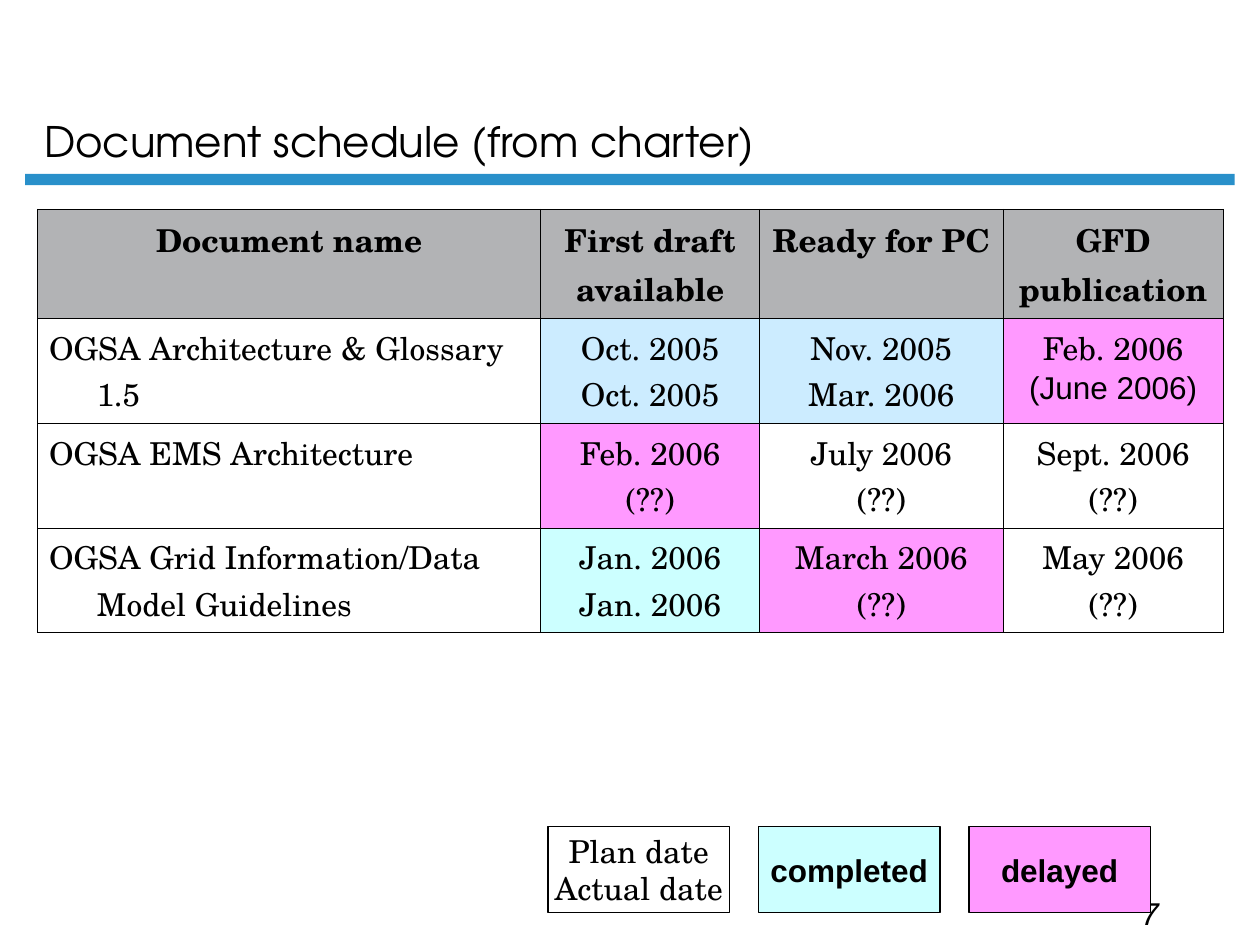
from pptx import Presentation, util as u
from pptx.dml.color import RGBColor
from pptx.enum import shapes, text
from pptx.oxml import parse_xml
from pptx.oxml.ns import nsdecls

BLACK = RGBColor(0x00, 0x00, 0x00)
BLUE = RGBColor(0x29, 0x90, 0xCA)
GRAY = RGBColor(0xB2, 0xB3, 0xB5)
SKY = RGBColor(0xCC, 0xEC, 0xFF)
CYAN = RGBColor(0xCC, 0xFF, 0xFF)
PINK = RGBColor(0xFF, 0x99, 0xFF)
SANS, SERIF, TITLE = "Arial", "TeX Gyre Schola", "TeX Gyre Adventor"
CENTER, LEFT = text.PP_ALIGN.CENTER, text.PP_ALIGN.LEFT

COLS = [3.99, 1.74, 1.93, 1.75]
ROW_HEIGHTS = [0.87, 0.83, 0.83, 0.83]
ROWS = [
    [("Document name", GRAY), ("First draft\navailable", GRAY),
     ("Ready for PC", GRAY), ("GFD\npublication", GRAY)],
    [("OGSA Architecture & Glossary 1.5", None), ("Oct. 2005\nOct. 2005", SKY),
     ("Nov. 2005\nMar. 2006", SKY), ("Feb. 2006\n(June 2006)", PINK)],
    [("OGSA EMS Architecture", None), ("Feb. 2006\n(??)", PINK),
     ("July 2006\n(??)", None), ("Sept. 2006\n(??)", None)],
    [("OGSA Grid Information/Data Model Guidelines", None),
     ("Jan. 2006\nJan. 2006", CYAN), ("March 2006\n(??)", PINK),
     ("May 2006\n(??)", None)],
]
LEGEND = [("Plan date\nActual date", SERIF, None, False),
          ("completed", SANS, CYAN, True),
          ("delayed", SANS, PINK, True)]


def write(tf, content, font, size=18, bold=False, align=LEFT):
    """Fill a text frame and format every run."""
    tf.text = content
    for p in tf.paragraphs:
        p.alignment = align
        for r in p.runs:
            r.font.name, r.font.size, r.font.bold = font, u.Pt(size), bold
            r.font.color.rgb = BLACK


def paint(target, color):
    """Apply a solid fill, or none."""
    if color is None:
        target.fill.background()
    else:
        target.fill.solid()
        target.fill.fore_color.rgb = color


def add_header(s, x, y, w, h):
    """Place the title above its rule."""
    sp = s.shapes.add_shape(shapes.MSO_SHAPE.RECTANGLE, u.Inches(x),
                            u.Inches(y + h - 0.09), u.Inches(w), u.Inches(0.09))
    sp.shadow.inherit = False
    paint(sp, BLUE)
    sp.line.fill.background()
    title = s.shapes.title
    title.left, title.top = u.Inches(x + 0.05), u.Inches(y)
    title.width, title.height = u.Inches(8.56), u.Inches(h - 0.1)
    tf = title.text_frame
    tf.auto_size = text.MSO_AUTO_SIZE.NONE
    tf.vertical_anchor = text.MSO_ANCHOR.BOTTOM
    write(tf, "Document schedule (from charter)", TITLE, 24)


def add_slide_number(s, x, y, w, h):
    """Place the slide number."""
    tb = s.shapes.add_textbox(u.Inches(x), u.Inches(y), u.Inches(w), u.Inches(h))
    write(tb.text_frame, "7", SANS)
    tb.text_frame.paragraphs[0].runs[0].font.italic = True


def add_borders(cell):
    """Draw thin black lines around a cell."""
    pr = cell._tc.get_or_add_tcPr()
    for i, side in enumerate(("lnL", "lnR", "lnT", "lnB")):
        pr.insert(i, parse_xml(
            f'<a:{side} {nsdecls("a")} w="{u.Pt(0.45)}"><a:solidFill>'
            f'<a:srgbClr val="{BLACK}"/></a:solidFill></a:{side}>'))


def add_schedule(s, x, y, w, h):
    """Place the document schedule table."""
    table = s.shapes.add_table(len(ROWS), len(COLS), u.Inches(x), u.Inches(y),
                               u.Inches(w), u.Inches(h)).table
    for col, width in zip(table.columns, COLS):
        col.width = u.Inches(width)
    for row, height in zip(table.rows, ROW_HEIGHTS):
        row.height = u.Inches(height)
    for i, row in enumerate(ROWS):
        for j, (content, color) in enumerate(row):
            cell = table.cell(i, j)
            cell.margin_left = cell.margin_right = u.Inches(0.09)
            align = LEFT if i and j == 0 else CENTER
            write(cell.text_frame, content, SERIF, bold=i == 0, align=align)
            for p in cell.text_frame.paragraphs:
                pPr = p._p.get_or_add_pPr()
                pPr.set("marL", str(u.Inches(0.38)))
                pPr.set("indent", str(u.Inches(-0.38)))
            paint(cell, color)
            add_borders(cell)
    table.cell(1, 3).text_frame.paragraphs[1].runs[0].font.name = SANS


def add_legend(s, x, y, w, h, step):
    """Place the row of legend boxes."""
    for i, (content, font, color, bold) in enumerate(LEGEND):
        sp = s.shapes.add_shape(shapes.MSO_SHAPE.RECTANGLE, u.Inches(x + i * step),
                                u.Inches(y), u.Inches(w), u.Inches(h))
        sp.shadow.inherit = False
        paint(sp, color)
        sp.line.color.rgb = BLACK
        sp.line.width = u.Pt(0.75)
        tf = sp.text_frame
        tf.word_wrap = False
        tf.vertical_anchor = text.MSO_ANCHOR.MIDDLE
        write(tf, content, font, bold=bold, align=CENTER)


def main():
    """Build the slide and save it."""
    prs = Presentation()
    prs.slide_width, prs.slide_height = u.Inches(10), u.Inches(7.5)
    s = prs.slides.add_slide(prs.slide_layouts[5])
    add_header(s, 0.2, 0.12, 9.6, 1.35)
    add_slide_number(s, 8.96, 7.05, 1.34, 0.4)
    add_schedule(s, 0.3, 1.66, sum(COLS), sum(ROW_HEIGHTS))
    add_legend(s, 4.35, 6.56, 1.44, 0.68, 1.67)
    prs.save("out.pptx")


if __name__ == "__main__":
    main()
